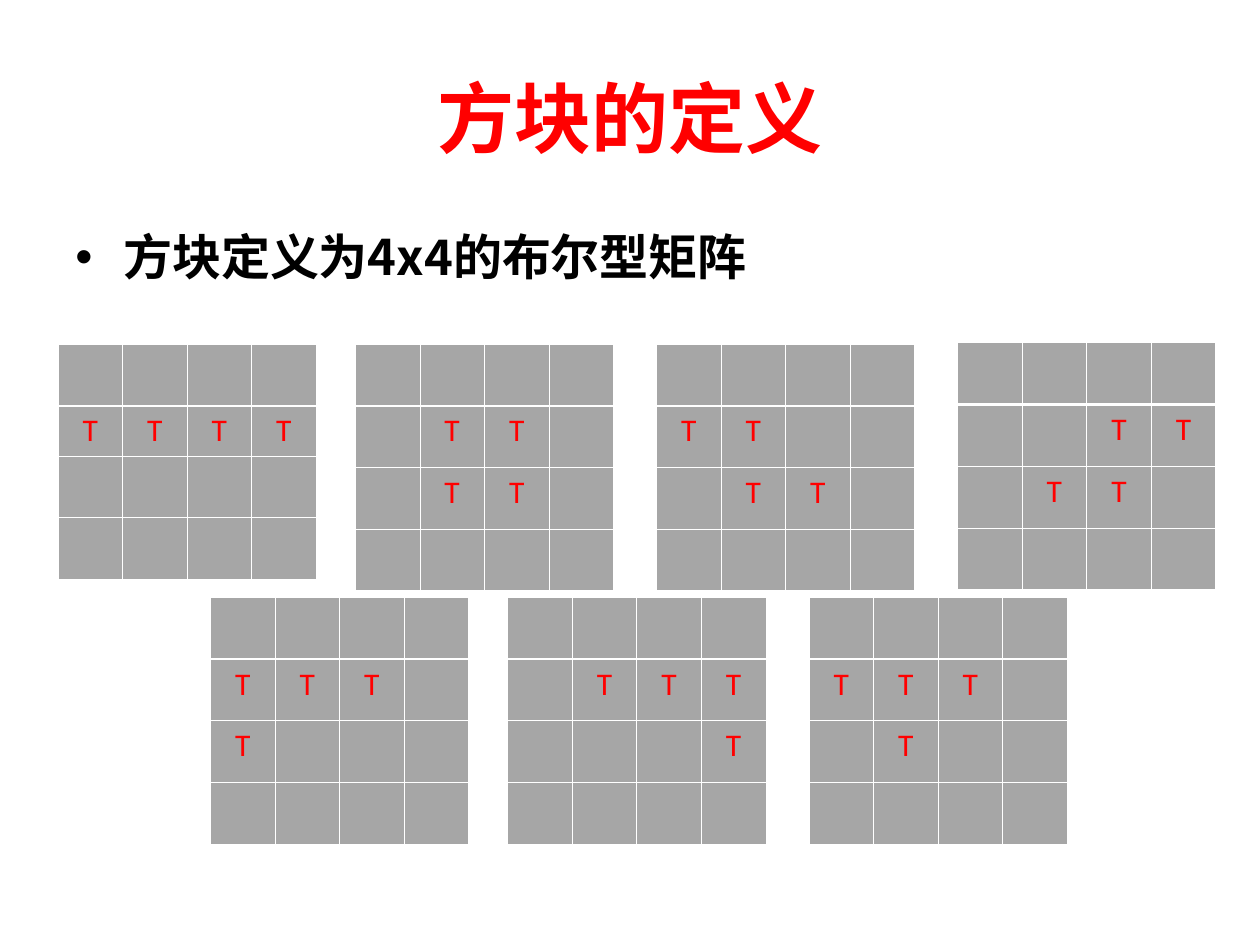
from lxml.etree import SubElement
from pptx import Presentation
from pptx.dml.color import RGBColor
from pptx.enum.text import MSO_ANCHOR as Anchor, PP_ALIGN as Align
from pptx.oxml.ns import qn
from pptx.util import Inches, Pt

COLORS = {"red": "FF0000", "black": "000000", "cell": "A6A6A6", "grid": "FFFFFF"}
HEADING_FONT = "Noto Sans CJK SC"
CELL_FONT = "Calibri"
SIZE = 4
TABLE_WIDTH = 2.05
ROW_HEIGHT = 0.49
FULL_ROW_HEIGHT = 0.4
THIN, THICK = 0.45, 1.47

BLOCKS = [
    (0.46, 2.73, ["....", "TTTT", "....", "...."]),
    (2.82, 2.73, ["....", ".TT.", ".TT.", "...."]),
    (5.21, 2.73, ["....", "TT..", ".TT.", "...."]),
    (7.6, 2.72, ["....", "..TT", ".TT.", "...."]),
    (1.67, 4.74, ["....", "TTT.", "T...", "...."]),
    (4.03, 4.74, ["....", ".TTT", "...T", "...."]),
    (6.42, 4.74, ["....", "TTT.", ".T..", "...."]),
]


def style_font(para, name, size, color, bold=False):
    """Set the paragraph font for Latin and East Asian text."""
    font = para.font
    font.name, font.size, font.bold = name, Pt(size), bold
    font.color.rgb = RGBColor.from_string(COLORS[color])
    properties = para._p.pPr.find(qn("a:defRPr"))
    east_asian = SubElement(properties, qn("a:ea"))
    east_asian.set("typeface", name)


def add_text(page, left, top, width, height, anchor):
    """Add a wrapping text box and return its first paragraph."""
    box = page.shapes.add_textbox(Inches(left), Inches(top), Inches(width), Inches(height))
    box.text_frame.word_wrap = True
    box.text_frame.vertical_anchor = anchor
    return box.text_frame.paragraphs[0]


def add_title(page, left, top, width, height):
    """Place the centred slide title."""
    para = add_text(page, left, top, width, height, Anchor.MIDDLE)
    para.text = "方块的定义"
    para.alignment = Align.CENTER
    style_font(para, HEADING_FONT, 44, "red", True)


def add_bullet(page, left, top, width, height):
    """Place the bulleted definition."""
    para = add_text(page, left, top, width, height, Anchor.TOP)
    para.text = "方块定义为4x4的布尔型矩阵"
    properties = para._p.get_or_add_pPr()
    properties.set("marL", str(Inches(0.38)))
    properties.set("indent", str(-Inches(0.38)))
    color = SubElement(properties, qn("a:buClr"))
    SubElement(color, qn("a:srgbClr")).set("val", COLORS["black"])
    SubElement(properties, qn("a:buFont")).set("typeface", "Arial")
    SubElement(properties, qn("a:buChar")).set("char", "•")
    style_font(para, HEADING_FONT, 28, "black", True)


def style_cell(cell, row):
    """Draw the cell borders and fill, with a thick line under the first row."""
    widths = {
        "a:lnL": THIN,
        "a:lnR": THIN,
        "a:lnT": THICK if row == 1 else THIN,
        "a:lnB": THICK if row == 0 else THIN,
    }
    properties = cell._tc.get_or_add_tcPr()
    for tag, width in widths.items():
        line = SubElement(properties, qn(tag))
        line.set("w", str(Pt(width)))
        fill = SubElement(line, qn("a:solidFill"))
        SubElement(fill, qn("a:srgbClr")).set("val", COLORS["grid"])
    cell.fill.solid()
    cell.fill.fore_color.rgb = RGBColor.from_string(COLORS["cell"])


def add_block(page, left, top, pattern):
    """Place one boolean matrix as a table."""
    heights = [FULL_ROW_HEIGHT if marks == "T" * SIZE else ROW_HEIGHT for marks in pattern]
    frame = page.shapes.add_table(
        SIZE, SIZE, Inches(left), Inches(top), Inches(TABLE_WIDTH), Inches(sum(heights))
    )
    table = frame.table
    for row, (marks, height) in enumerate(zip(pattern, heights)):
        table.rows[row].height = Inches(height)
        for column, mark in enumerate(marks):
            cell = table.cell(row, column)
            style_cell(cell, row)
            if mark == "T":
                para = cell.text_frame.paragraphs[0]
                para.text = mark
                para.alignment = Align.CENTER
                style_font(para, CELL_FONT, 18, "red")


def main():
    """Build and save the slide."""
    deck = Presentation()
    deck.slide_width, deck.slide_height = Inches(10), Inches(7.5)
    page = deck.slides.add_slide(deck.slide_layouts[6])
    add_title(page, 0.5, 0.3, 9, 1.25)
    add_bullet(page, 0.5, 1.75, 9, 4.95)
    for left, top, pattern in BLOCKS:
        add_block(page, left, top, pattern)
    deck.save("out.pptx")


if __name__ == "__main__":
    main()
